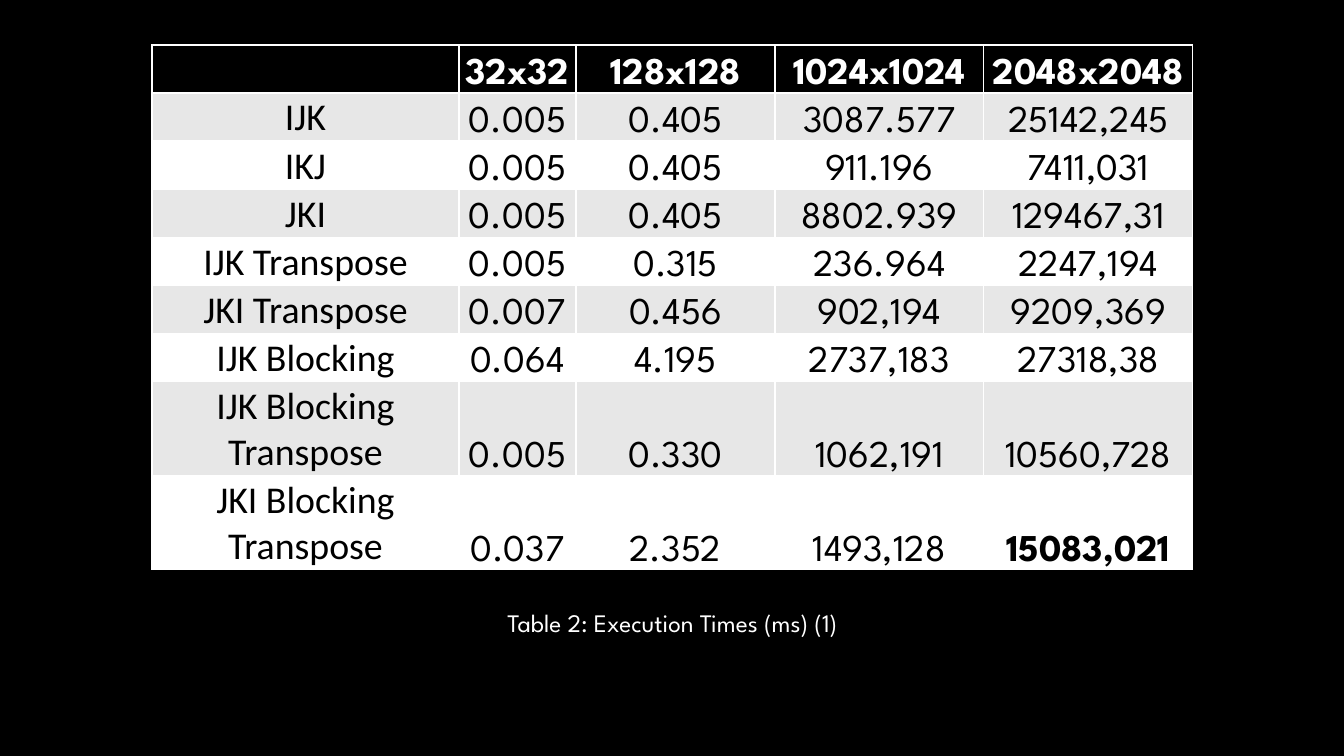
import pptx
import pptx.dml.color
import pptx.enum.text
import pptx.util
from dataclasses import dataclass
from lxml import etree

SCALE = 914400 / 100.8
A = "http://schemas.openxmlformats.org/drawingml/2006/main"


@dataclass(frozen=True)
class Theme:
    black: str = "000000"
    white: str = "FFFFFF"
    band: str = "E7E7E7"
    number_font: str = "League Spartan"
    label_font: str = "Calibri"
    table_size: int = 27
    caption_size: int = 18
    border_width: int = 1


THEME = Theme()
COLUMNS = [307, 117, 199, 209, 209]
LINE_HEIGHT, TALL_HEIGHT = 48, 94
TIMES = [
    ["", "32x32", "128x128", "1024x1024", "2048x2048"],
    ["IJK", "0.005", "0.405", "3087.577", "25142,245"],
    ["IKJ", "0.005", "0.405", "911.196", "7411,031"],
    ["JKI", "0.005", "0.405", "8802.939", "129467,31"],
    ["IJK Transpose", "0.005", "0.315", "236.964", "2247,194"],
    ["JKI Transpose", "0.007", "0.456", "902,194", "9209,369"],
    ["IJK Blocking", "0.064", "4.195", "2737,183", "27318,38"],
    ["IJK Blocking Transpose", "0.005", "0.330", "1062,191", "10560,728"],
    ["JKI Blocking Transpose", "0.037", "2.352", "1493,128", "15083,021"],
]
BOLD_TIME = "15083,021"


def px(n):
    return pptx.util.Emu(round(n * SCALE))


def rgb(color):
    return pptx.dml.color.RGBColor.from_string(color)


def style_paragraph(p, size, font, color, bold=False):
    p.alignment = pptx.enum.text.PP_ALIGN.CENTER
    p.font.size = pptx.util.Pt(size)
    p.font.name = font
    p.font.bold = bold
    p.font.color.rgb = rgb(color)


def set_borders(cell, color, width):
    tc_pr = cell._tc.get_or_add_tcPr()
    for side in ("lnL", "lnR", "lnT", "lnB"):
        ln = etree.SubElement(tc_pr, f"{{{A}}}{side}", w=str(pptx.util.Pt(width)))
        fill = etree.SubElement(ln, f"{{{A}}}solidFill")
        etree.SubElement(fill, f"{{{A}}}srgbClr", val=color)


def fill_cell(cell, text, row, col):
    header, label = row == 0, row > 0 and col == 0
    anchor = pptx.enum.text.MSO_ANCHOR
    cell.margin_left = cell.margin_right = cell.margin_top = px(2)
    cell.margin_bottom = 0
    cell.vertical_anchor = anchor.MIDDLE if label else anchor.BOTTOM
    set_borders(cell, THEME.white, THEME.border_width)
    cell.fill.solid()
    band = THEME.band if row % 2 else THEME.white
    cell.fill.fore_color.rgb = rgb(THEME.black if header else band)
    cell.text = text
    style_paragraph(
        cell.text_frame.paragraphs[0],
        THEME.table_size,
        THEME.label_font if label else THEME.number_font,
        THEME.white if header else THEME.black,
        header or text == BOLD_TIME,
    )


def add_times_table(slide, x, y):
    heights = [TALL_HEIGHT if len(row[0].split()) > 2 else LINE_HEIGHT for row in TIMES]
    table = slide.shapes.add_table(
        len(TIMES), len(COLUMNS), px(x), px(y), px(sum(COLUMNS)), px(sum(heights))
    ).table
    table.first_row = table.horz_banding = False
    for column, width in zip(table.columns, COLUMNS):
        column.width = px(width)
    for r, (values, height) in enumerate(zip(TIMES, heights)):
        table.rows[r].height = px(height)
        for c, text in enumerate(values):
            fill_cell(table.cell(r, c), text, r, c)


def add_caption(slide, text, x, y, w, h):
    tf = slide.shapes.add_textbox(px(x), px(y), px(w), px(h)).text_frame
    tf.word_wrap = True
    tf.text = text
    style_paragraph(tf.paragraphs[0], THEME.caption_size, THEME.number_font, THEME.white)


def main():
    prs = pptx.Presentation()
    prs.slide_width, prs.slide_height = px(1344), px(756)
    slide = prs.slides.add_slide(prs.slide_layouts[6])
    slide.background.fill.solid()
    slide.background.fill.fore_color.rgb = rgb(THEME.black)
    add_times_table(slide, 152, 45)
    add_caption(slide, "Table 2: Execution Times (ms) (1)", 480, 602, 385, 72)
    prs.save("out.pptx")


if __name__ == "__main__":
    main()
